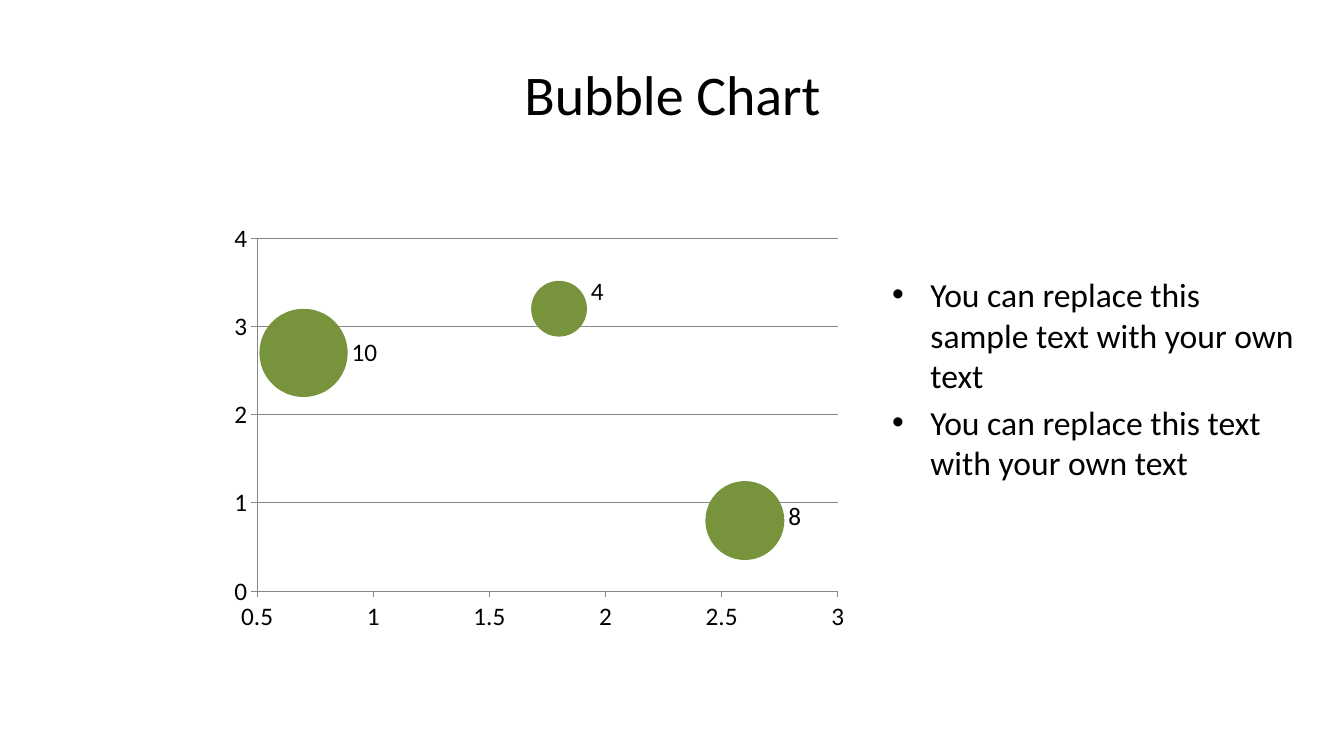
from lxml.etree import SubElement
from pptx import Presentation
from pptx.chart.data import BubbleChartData
from pptx.dml.color import RGBColor
from pptx.enum.chart import XL_CHART_TYPE as CT, XL_LABEL_POSITION as LP, XL_TICK_MARK as TM
from pptx.enum.text import MSO_ANCHOR, PP_ALIGN
from pptx.oxml import parse_xml
from pptx.oxml.ns import nsdecls, qn
from pptx.util import Pt

PX = 9144
FONT = "Calibri"
COLORS = {"text": "000000", "bubble": "77933C", "line": "868686"}
BUBBLES = [(0.7, 2.7, 10), (1.8, 3.2, 4), (2.6, 0.8, 8)]
LABEL_SHIFTS = {1: {"x": 0, "y": -0.04}, 2: {"x": 0, "y": -0.01}}
PLOT = {"x": 0.06, "y": 0.06, "w": 0.91, "h": 0.83}
BULLETS = [
    "You can replace this sample text with your own text",
    "You can replace this text with your own text",
]


def px(*values):
    """Turn px lengths into EMU."""
    return [v * PX for v in values]


def rgb(name):
    """Look up a colour by its role."""
    return RGBColor.from_string(COLORS[name])


def style_font(font, size):
    """Set face, size and colour of a font."""
    font.name, font.size = FONT, Pt(size)
    font.color.rgb = rgb("text")


def style_line(line):
    """Set colour and width of a chart line."""
    line.color.rgb = rgb("line")
    line.width = Pt(0.75)


def manual_layout(numbers, inner=False):
    """Build a chart layout element from fractions of the chart."""
    layout = parse_xml(f"<c:layout {nsdecls('c')}><c:manualLayout/></c:layout>")
    tags = [("layoutTarget", "inner"), ("xMode", "edge"), ("yMode", "edge")] if inner else []
    for tag, value in tags + list(numbers.items()):
        SubElement(layout[0], qn(f"c:{tag}")).set("val", str(value))
    return layout


def add_title(s, text):
    """Fill and place the title placeholder."""
    sp = s.shapes.title
    sp.left, sp.top, sp.width, sp.height = px(67, 30, 1200, 125)
    tf = sp.text_frame
    tf.text = text
    tf.vertical_anchor = MSO_ANCHOR.MIDDLE
    p = tf.paragraphs[0]
    p.alignment = PP_ALIGN.CENTER
    style_font(p.runs[0].font, 40)


def style_axis(axis, low, high, step):
    """Set range, ticks and line of an axis."""
    axis.minimum_scale, axis.maximum_scale, axis.major_unit = low, high, step
    axis.major_tick_mark, axis.minor_tick_mark = TM.OUTSIDE, TM.NONE
    style_line(axis.format.line)


def add_bubble_chart(s):
    """Add the bubble chart with its value labels."""
    data = BubbleChartData()
    series_data = data.add_series("Series 1")
    for x, y, size in BUBBLES:
        series_data.add_data_point(x, y, size)
    chart = s.shapes.add_chart(CT.BUBBLE, *px(217, 211, 633, 422), data).chart
    chart.has_title = chart.has_legend = False
    style_font(chart.font, 18)
    style_axis(chart.category_axis, 0.5, 3, 0.5)
    style_axis(chart.value_axis, 0, 4, 1)
    chart.category_axis.has_major_gridlines = False
    chart.value_axis.has_major_gridlines = True
    style_line(chart.value_axis.major_gridlines.format.line)

    plot = chart.plots[0]
    series = plot.series[0]
    series.format.fill.solid()
    series.format.fill.fore_color.rgb = rgb("bubble")
    series.format.line.fill.background()
    for i in range(len(BUBBLES)):
        series.points[i].data_label.position = LP.RIGHT
    labels = series._element.findall(".//" + qn("c:dLbl"))
    for i, shift in LABEL_SHIFTS.items():
        labels[i].insert(1, manual_layout(shift))

    area = plot._element.getparent()
    for old in area.findall(qn("c:layout")):
        area.remove(old)
    area.insert(0, manual_layout(PLOT, inner=True))


def add_bullets(s, items):
    """Add the bulleted text beside the chart."""
    tf = s.shapes.add_textbox(*px(875, 267, 424, 275)).text_frame
    tf.word_wrap = True
    for i, text in enumerate(items):
        p = tf.add_paragraph() if i else tf.paragraphs[0]
        p.text = text
        pPr = p._p.get_or_add_pPr()
        pPr.set("marL", str(38 * PX))
        pPr.set("indent", str(-38 * PX))
        SubElement(pPr, qn("a:buFont")).set("typeface", "Arial")
        SubElement(pPr, qn("a:buChar")).set("char", "•")
        if i:
            p.space_before = Pt(5)
        style_font(p.runs[0].font, 24)


def main():
    """Build and save the slide."""
    prs = Presentation()
    prs.slide_width, prs.slide_height = px(1333, 750)
    s = prs.slides.add_slide(prs.slide_layouts[5])
    add_bubble_chart(s)
    add_title(s, "Bubble Chart")
    add_bullets(s, BULLETS)
    prs.save("out.pptx")


if __name__ == "__main__":
    main()
